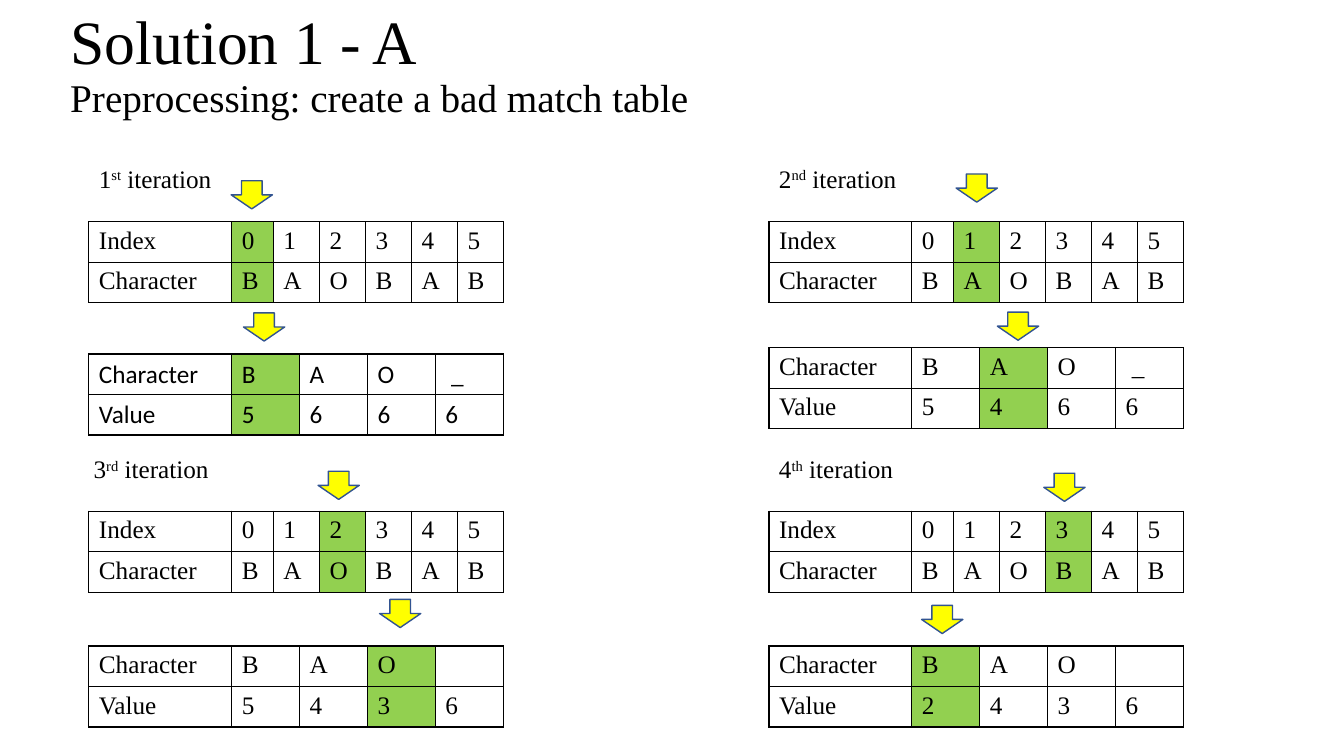
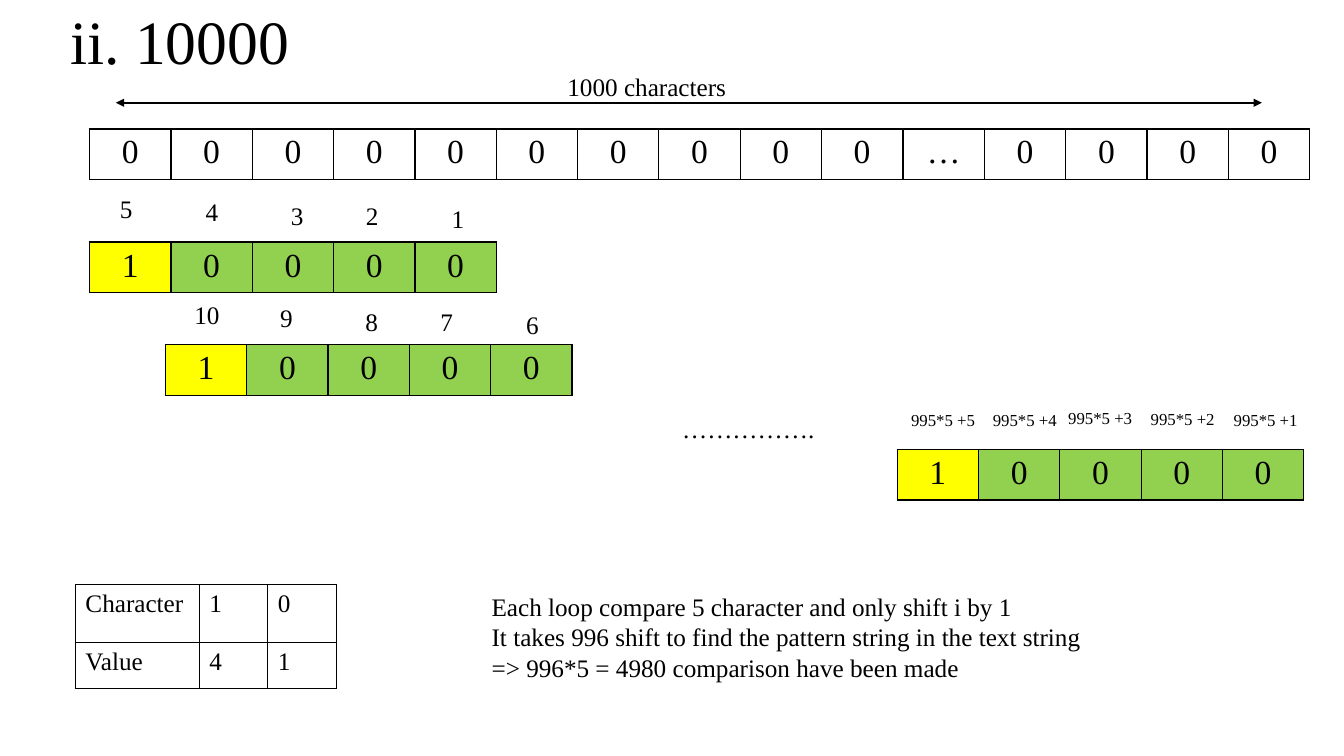
from dataclasses import dataclass

from lxml.etree import SubElement
from pptx import Presentation
from pptx.dml.color import RGBColor
from pptx.enum.shapes import MSO_CONNECTOR, MSO_SHAPE
from pptx.enum.text import MSO_ANCHOR, PP_ALIGN
from pptx.oxml.ns import qn
from pptx.util import Cm, Pt

BLACK, WHITE = "000000", "FFFFFF"
GREEN, YELLOW, BLUE = "92D050", "FFFF00", "325491"
SERIF, SANS = "Times New Roman", "Calibri"
LABEL_WIDTH = 3.6
INDEX_COLUMNS = [1.05] + [1.16] * 5
MATCH_COLUMNS = [1.71] * 4
CELL_WIDTH, CELL_HEIGHT = 2.05, 1.27


@dataclass
class Iteration:
    """One step of building the bad match table."""

    number: str
    suffix: str
    label_at: tuple
    left: float
    index_top: float
    match_top: float
    index_mark: int
    match_mark: int
    last_letter: str
    values: str
    index_arrow: tuple
    match_arrow: tuple
    row_height: float = 1.02
    match_font: str = SERIF


ITERATIONS = [
    Iteration("1", "st", (2.24, 3.99), 2.24, 5.59, 8.92, 0, 0, " _", "5666",
              (5.99, 4.39), (6.3, 7.72), 0.96, SANS),
    Iteration("2", "nd", (19.38, 3.99), 19.38, 5.59, 8.76, 1, 1, " _", "5466",
              (24.26, 4.22), (25.3, 7.7)),
    Iteration("3", "rd", (2.11, 11.3), 2.24, 12.88, 16.28, 2, 2, "", "5436",
              (8.18, 11.71), (9.73, 14.94)),
    Iteration("4", "th", (19.38, 11.3), 19.38, 12.88, 16.28, 3, 0, "", "2436",
              (26.47, 11.76), (23.39, 15.09)),
]


def color(value):
    """Turn a hex string into a colour."""
    return RGBColor.from_string(value)


def style_paragraph(paragraph, size, font=SERIF, alignment=PP_ALIGN.LEFT):
    """Align a paragraph and format its runs."""
    paragraph.alignment = alignment
    for run in paragraph.runs:
        run.font.size = Pt(size)
        run.font.name = font
        run.font.color.rgb = color(BLACK)


def add_text(slide, text, left, top, width, height=1.02, size=18, spacing=1.0):
    """Add a wrapped text box and return its text frame."""
    shape = slide.shapes.add_textbox(Cm(left), Cm(top), Cm(width), Cm(height))
    text_frame = shape.text_frame
    text_frame.word_wrap = True
    text_frame.text = text
    for paragraph in text_frame.paragraphs:
        paragraph.line_spacing = spacing
        style_paragraph(paragraph, size)
    return text_frame


def add_title(slide, text):
    """Add the slide title."""
    text_frame = add_text(slide, text, 1.52, 0, 26.21, 2.26, 44, 0.9)
    text_frame.vertical_anchor = MSO_ANCHOR.MIDDLE


def add_borders(cell):
    """Draw a thin black line on each side of a cell."""
    properties = cell._tc.get_or_add_tcPr()
    for side in ("a:lnL", "a:lnR", "a:lnT", "a:lnB"):
        line = SubElement(properties, qn(side), w=str(Pt(1)))
        fill = SubElement(line, qn("a:solidFill"))
        SubElement(fill, qn("a:srgbClr"), val=BLACK)


def add_grid(slide, rows, left, top, widths, heights, fills=None, size=18,
             font=SERIF, alignment=PP_ALIGN.LEFT):
    """Add a bordered table whose columns may be filled by position."""
    fills = fills or {}
    table = slide.shapes.add_table(
        len(rows), len(widths), Cm(left), Cm(top),
        Cm(sum(widths)), Cm(sum(heights))).table
    table.first_row = table.horz_banding = False
    for column, width in zip(table.columns, widths):
        column.width = Cm(width)
    for row, height, texts in zip(table.rows, heights, rows):
        row.height = Cm(height)
        for position, (cell, text) in enumerate(zip(row.cells, texts)):
            cell.text_frame.text = text
            style_paragraph(cell.text_frame.paragraphs[0], size, font, alignment)
            add_borders(cell)
            cell.fill.solid()
            cell.fill.fore_color.rgb = color(fills.get(position, WHITE))


def add_labelled_grid(slide, labels, rows, left, top, widths, height, mark, font=SERIF):
    """Add a label column and, beside it, values with one marked column."""
    heights = [height] * len(rows)
    add_grid(slide, [[label] for label in labels], left, top, [LABEL_WIDTH],
             heights, font=font)
    add_grid(slide, rows, left + LABEL_WIDTH, top, widths, heights,
             {mark: GREEN}, font=font)


def add_down_arrow(slide, left, top):
    """Add a yellow block arrow that points down."""
    shape = slide.shapes.add_shape(
        MSO_SHAPE.RIGHT_ARROW, Cm(left), Cm(top), Cm(0.71), Cm(1.04))
    shape.rotation = 90
    shape.shadow.inherit = False
    shape.fill.solid()
    shape.fill.fore_color.rgb = color(YELLOW)
    shape.line.color.rgb = color(BLUE)
    shape.line.width = Pt(1)


def add_span_line(slide, left, right, top):
    """Add a horizontal line with an arrowhead at both ends."""
    connector = slide.shapes.add_connector(
        MSO_CONNECTOR.STRAIGHT, Cm(left), Cm(top), Cm(right), Cm(top))
    connector.line.color.rgb = color(BLACK)
    connector.line.width = Pt(1.5)
    line = connector.line._get_or_add_ln()
    for end in ("a:headEnd", "a:tailEnd"):
        SubElement(line, qn(end), type="triangle")
    SubElement(connector._element.spPr, qn("a:effectLst"))


def add_iteration(slide, step):
    """Add the label, both tables and both arrows of one iteration."""
    text_frame = add_text(slide, step.number, *step.label_at, 6.43)
    paragraph = text_frame.paragraphs[0]
    suffix = paragraph.add_run()
    suffix.text = step.suffix
    suffix._r.get_or_add_rPr().set("baseline", "30000")
    paragraph.add_run().text = " iteration"
    style_paragraph(paragraph, 18)
    add_labelled_grid(slide, ["Index", "Character"], ["012345", "BAOBAB"],
                      step.left, step.index_top, INDEX_COLUMNS,
                      step.row_height, step.index_mark)
    add_labelled_grid(slide, ["Character", "Value"],
                      [["B", "A", "O", step.last_letter], step.values],
                      step.left, step.match_top, MATCH_COLUMNS, 1.02,
                      step.match_mark, step.match_font)
    add_down_arrow(slide, *step.index_arrow)
    add_down_arrow(slide, *step.match_arrow)


def add_cells(slide, text, left, top, fills=None):
    """Add one row of large centred characters."""
    add_grid(slide, [text], left, top, [CELL_WIDTH] * len(text), [CELL_HEIGHT],
             fills, 24, alignment=PP_ALIGN.CENTER)


def add_pattern(slide, left, top):
    """Add the pattern with its mismatch in yellow and its matches in green."""
    fills = {position: GREEN for position in range(1, 5)}
    add_cells(slide, "10000", left, top, {0: YELLOW, **fills})


def add_counters(slide, texts, left, top, offsets, width, height=1.02, size=18):
    """Add comparison counts at the given offsets."""
    for text, (across, down) in zip(texts, offsets):
        add_text(slide, text, left + across, top + down, width, height, size)


def build_preprocessing(slide):
    """Fill the slide on the bad match table."""
    add_title(slide, "Solution 1 - A")
    add_text(slide, "Preprocessing: create a bad match table",
             1.52, 1.85, 29.21, 1.4, 28, 0.9)
    for step in ITERATIONS:
        add_iteration(slide, step)


def build_comparisons(slide):
    """Fill the slide that counts comparisons."""
    add_title(slide, "ii. 10000")
    add_text(slide, "1000 characters", 14.05, 1.68, 6.53)
    add_span_line(slide, 2.92, 31.8, 2.59)
    add_cells(slide, "0" * 10, 2.26, 3.25)
    add_cells(slide, "…0000", 2.26 + 10 * CELL_WIDTH, 3.25)
    for left, top in ((2.26, 6.1), (4.17, 8.69), (22.61, 11.33)):
        add_pattern(slide, left, top)
    offsets = [(0, 0), (2.16, 0.08), (4.31, 0.17), (6.2, 0.18), (8.36, 0.24)]
    add_counters(slide, "54321", 2.77, 4.75, offsets, 0.61)
    add_counters(slide, ["10"], 4.65, 7.42, offsets, 1.35)
    add_counters(slide, "9876", 4.65, 7.42, offsets[1:], 0.61)
    last_offsets = [(0, 0), (2.06, 0), (3.96, -0.05), (6.04, -0.03), (8.13, 0)]
    add_counters(slide, [f"995*5 +{count}" for count in range(5, 0, -1)],
                 22.71, 10.21, last_offsets, 3, 0.76, 12)
    add_text(slide, "…………….", 16.94, 10.29, 4.62)
    add_grid(slide, [["Character", "1", "0"], ["Value", "4", "1"]],
             1.9, 14.73, [3.12, 1.73, 1.73], [1.47, 1.14])
    add_text(slide, "Each loop compare 5 character and only shift i by 1\n"
             "It takes 996 shift to find the pattern string in the text string\n"
             "=> 996*5 = 4980 comparison have been made", 12.14, 14.78, 18.82, 2.57)


def main():
    """Build and save the presentation."""
    presentation = Presentation()
    presentation.slide_width = Cm(33.87)
    presentation.slide_height = Cm(19.05)
    for build in (build_preprocessing, build_comparisons):
        build(presentation.slides.add_slide(presentation.slide_layouts[6]))
    presentation.save("out.pptx")


if __name__ == "__main__":
    main()
